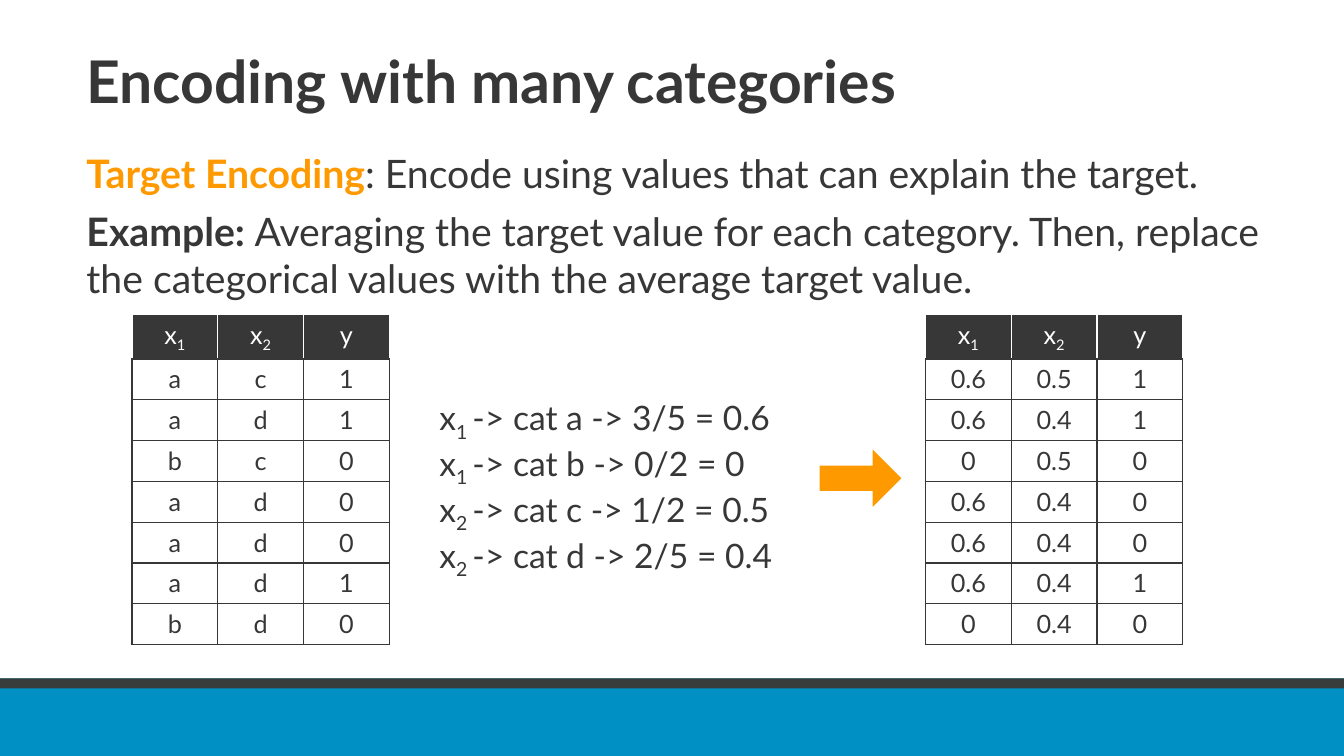
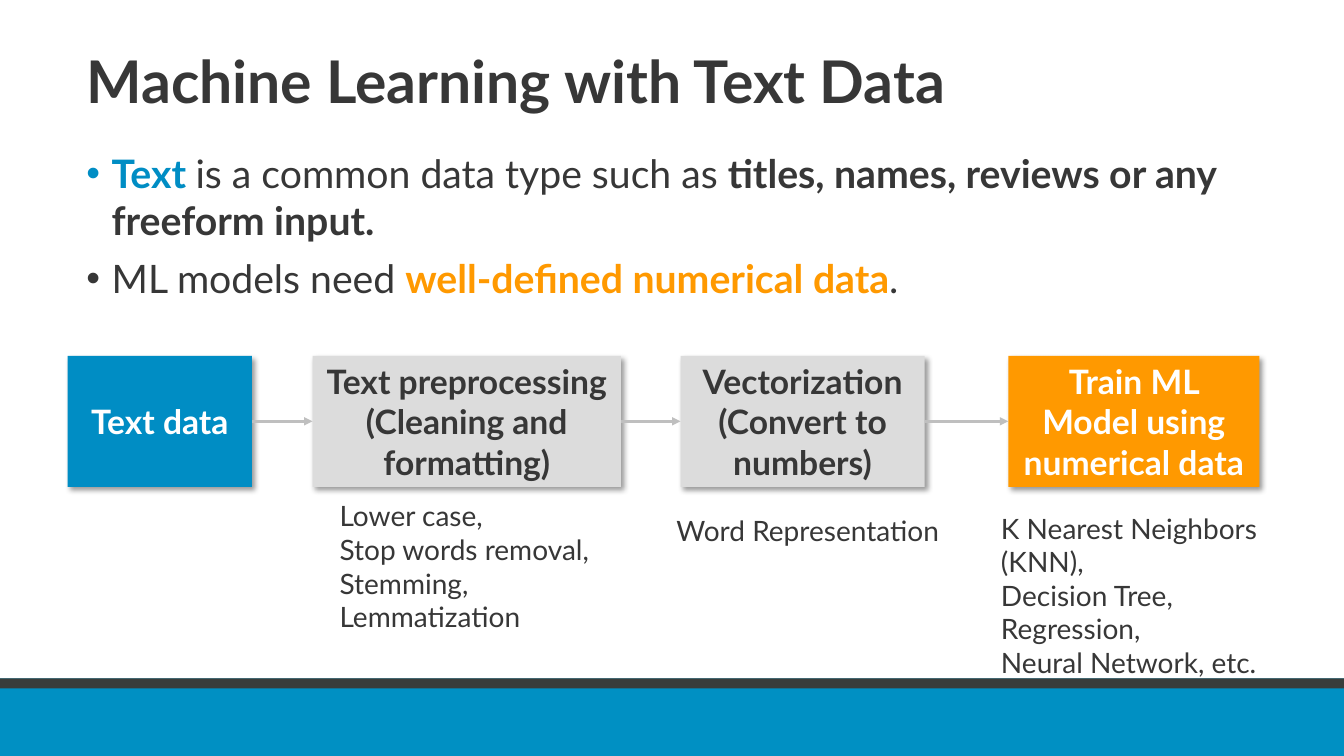
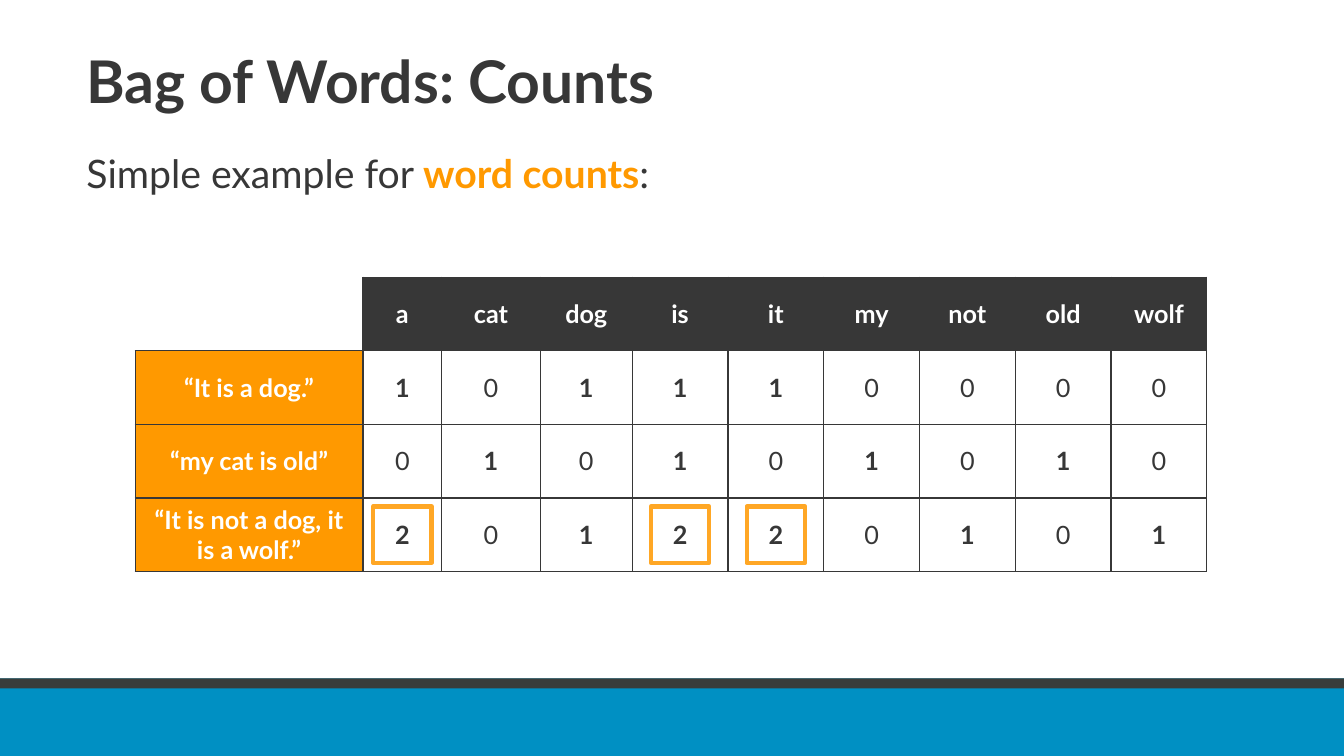
from dataclasses import dataclass
from itertools import pairwise

from lxml.etree import SubElement
from pptx import Presentation
from pptx.dml.color import RGBColor
from pptx.enum.shapes import MSO_CONNECTOR as Connector, MSO_SHAPE as Preset
from pptx.enum.text import MSO_ANCHOR as Anchor, PP_ALIGN as Align
from pptx.oxml import parse_xml
from pptx.oxml.ns import nsdecls, qn
from pptx.util import Inches, Pt


@dataclass(frozen=True)
class Theme:
    font: str = "Lato"
    ink: str = "373737"
    white: str = "FFFFFF"
    orange: str = "FF9900"
    highlight: str = "FFA725"
    blue: str = "008DC4"
    band: str = "0090C3"
    band_edge: str = "383D3B"
    box: str = "DCDCDC"
    arrow: str = "BFBFBF"
    title_size: int = 42
    body_size: int = 28
    label_size: int = 24
    note_size: int = 20
    table_size: int = 18


THEME = Theme()
WIDTH, HEIGHT = 13.33, 7.5
MARGIN, CONTENT_WIDTH = 0.76, 11.9

# A paragraph is a list of (text, style) runs.
STYLES = {
    "plain": {},
    "bold": {"bold": True},
    "orange": {"bold": True, "color": THEME.orange},
    "blue": {"bold": True, "color": THEME.blue},
    "sub": {"baseline": -25000},
}

# Slide 1
ENCODING_TITLE = "Encoding with many categories"
ENCODING_BODY = [
    [("Target Encoding", "orange"),
     (": Encode using values that can explain the target.", "plain")],
    [("Example: ", "bold"),
     ("Averaging the target value for each category. Then, replace "
      "the categorical values with the average target value.", "plain")],
]
ENCODING_HEADER = [
    [("x", "plain"), ("1", "sub")],
    [("x", "plain"), ("2", "sub")],
    [("y", "plain")],
]
SAMPLES = ["ac1", "ad1", "bc0", "ad0", "ad0", "ad1", "bd0"]
# feature, category, fraction, average
AVERAGES = [
    ("1", "a", "3/5", "0.6"),
    ("1", "b", "0/2", "0"),
    ("2", "c", "1/2", "0.5"),
    ("2", "d", "2/5", "0.4"),
]

# Slide 2
TEXT_TITLE = "Machine Learning with Text Data"
TEXT_BODY = [
    [("Text ", "blue"), ("is a common data type such as ", "plain"),
     ("titles, names, reviews or any freeform input.", "bold")],
    [("ML models need ", "plain"), ("well-defined numerical data", "orange"),
     (".", "plain")],
]
# left, width, fill, font colour, lines
STEPS = [
    (0.67, 1.83, THEME.blue, THEME.white, ["Text data"]),
    (3.1, 3.06, THEME.box, THEME.ink,
     ["Text preprocessing", "(Cleaning and formatting)"]),
    (6.75, 2.42, THEME.box, THEME.ink,
     ["Vectorization", "(Convert to numbers)"]),
    (10, 2.49, THEME.orange, THEME.white,
     ["Train ML Model using numerical data"]),
]
# left, top, lines
STEP_NOTES = [
    (3.27, 4.9, ["Lower case,", "Stop words removal,", "Stemming,",
                 "Lemmatization"]),
    (6.61, 5.04, ["Word Representation"]),
    (9.83, 5.02, ["K Nearest Neighbors (KNN),", "Decision Tree,",
                  "Regression,", "Neural Network, etc."]),
]

# Slide 3
COUNTS_TITLE = "Bag of Words: Counts"
COUNTS_BODY = [
    [("Simple example for ", "plain"), ("word counts", "orange"),
     (":", "plain")],
]
WORDS = ["a", "cat", "dog", "is", "it", "my", "not", "old", "wolf"]
SENTENCES = [
    ("“It is a dog.”", [1, 0, 1, 1, 1, 0, 0, 0, 0]),
    ("“my cat is old”", [0, 1, 0, 1, 0, 1, 0, 1, 0]),
    ("“It is not a dog, it is a wolf.”", [2, 0, 1, 2, 2, 0, 1, 0, 1]),
]


def rgb(value):
    return RGBColor.from_string(value)


def plain_lines(lines, style="plain"):
    return [[(line, style)] for line in lines]


def write(frame, paragraphs, size, color=THEME.ink, align=Align.LEFT,
          gap=0, bullets=False, spacing=None):
    """Fill a text frame with paragraphs of styled runs."""
    for index, runs in enumerate(paragraphs):
        paragraph = frame.paragraphs[0] if index == 0 else frame.add_paragraph()
        if bullets:
            add_bullet(paragraph)
        paragraph.alignment = align
        if spacing:
            paragraph.line_spacing = spacing
        if gap and index:
            paragraph.space_before = Pt(gap)
        for text, style_name in runs:
            style = STYLES[style_name]
            run = paragraph.add_run()
            run.text = text
            run.font.name = THEME.font
            run.font.size = Pt(size)
            run.font.bold = style.get("bold", False)
            run.font.color.rgb = rgb(style.get("color", color))
            if "baseline" in style:
                run._r.get_or_add_rPr().set("baseline", str(style["baseline"]))


def add_bullet(paragraph):
    properties = paragraph._p.get_or_add_pPr()
    properties.set("marL", str(Inches(0.25)))
    properties.set("indent", str(Inches(-0.25)))
    SubElement(properties, qn("a:buFont"), typeface="Arial")
    SubElement(properties, qn("a:buChar"), char="•")


def add_text(slide, left, top, width, height, paragraphs, size,
             anchor=Anchor.TOP, **options):
    box = slide.shapes.add_textbox(
        Inches(left), Inches(top), Inches(width), Inches(height))
    box.text_frame.word_wrap = True
    box.text_frame.vertical_anchor = anchor
    write(box.text_frame, paragraphs, size, **options)


def add_block(slide, left, top, width, height, fill=None, line=None,
              preset=Preset.RECTANGLE):
    shape = slide.shapes.add_shape(
        preset, Inches(left), Inches(top), Inches(width), Inches(height))
    shape.shadow.inherit = False
    if fill:
        shape.fill.solid()
        shape.fill.fore_color.rgb = rgb(fill)
    else:
        shape.fill.background()
    if line:
        shape.line.color.rgb = rgb(line)
        shape.line.width = Pt(3)
    else:
        shape.line.fill.background()
    return shape


def add_drop_shadow(shape):
    shape._element.spPr.find(qn("a:effectLst")).append(parse_xml(
        f'<a:outerShdw {nsdecls("a")} blurRad="{Pt(4)}" dist="{Pt(3)}" '
        'dir="2700000" algn="tl" rotWithShape="0"><a:srgbClr val="000000">'
        '<a:alpha val="40000"/></a:srgbClr></a:outerShdw>'))


def add_arrow(slide, source, target):
    arrow = slide.shapes.add_connector(Connector.STRAIGHT, 0, 0, 0, 0)
    arrow.begin_connect(source, 3)
    arrow.end_connect(target, 1)
    arrow.line.color.rgb = rgb(THEME.arrow)
    arrow.line.width = Pt(1.75)
    SubElement(arrow.line._get_or_add_ln(), qn("a:tailEnd"), type="triangle")
    SubElement(arrow._element.spPr, qn("a:effectLst"))


def set_borders(cell, colors):
    """Draw left, right, top and bottom borders; None leaves a side open."""
    properties = cell._tc.get_or_add_tcPr()
    for index, (side, color) in enumerate(zip("LRTB", colors)):
        paint = (f'<a:solidFill><a:srgbClr val="{color}"/></a:solidFill>'
                 if color else "<a:noFill/>")
        properties.insert(index, parse_xml(
            f'<a:ln{side} {nsdecls("a")} w="{Pt(1)}">{paint}</a:ln{side}>'))


def add_grid(slide, left, top, column_widths, row_height, row_count):
    table = slide.shapes.add_table(
        row_count, len(column_widths), Inches(left), Inches(top),
        Inches(sum(column_widths)), Inches(row_height * row_count)).table
    table.first_row = table.horz_banding = False
    for column, width in zip(table.columns, column_widths):
        column.width = Inches(width)
    for row in table.rows:
        row.height = Inches(row_height)
    return table


def fill_cell(cell, runs, fill=None, borders=(THEME.ink,) * 4,
              anchor=Anchor.TOP):
    if fill:
        cell.fill.solid()
        cell.fill.fore_color.rgb = rgb(fill)
    else:
        cell.fill.background()
    set_borders(cell, borders)
    cell.vertical_anchor = anchor
    write(cell.text_frame, [runs], THEME.table_size,
          color=THEME.white if fill else THEME.ink, align=Align.CENTER)


def start_slide(presentation, title, body, bullets=False):
    """Add a slide with the shared bands, title and body text."""
    slide = presentation.slides.add_slide(presentation.slide_layouts[6])
    band_top = 6.73
    add_block(slide, 0, band_top, WIDTH, HEIGHT - band_top, THEME.band)
    add_block(slide, 0, band_top, WIDTH, 0.1, THEME.band_edge)
    add_text(slide, MARGIN, 0.32, CONTENT_WIDTH, 1.08,
             plain_lines([title], "bold"), THEME.title_size,
             anchor=Anchor.MIDDLE, spacing=0.8)
    add_text(slide, MARGIN, 1.43, CONTENT_WIDTH, 1.6, body, THEME.body_size,
             gap=8, bullets=bullets)
    return slide


def add_sample_table(slide, left, samples):
    table = add_grid(slide, left, 3.12, [0.85] * 3, 0.405, len(samples) + 1)
    header_borders = (THEME.white,) * 3 + (THEME.ink,)
    for column, runs in enumerate(ENCODING_HEADER):
        fill_cell(table.cell(0, column), runs, THEME.ink, header_borders)
    for row, sample in enumerate(samples, 1):
        for column, value in enumerate(sample):
            fill_cell(table.cell(row, column), [(value, "plain")])


def build_encoding_slide(presentation):
    slide = start_slide(presentation, ENCODING_TITLE, ENCODING_BODY)
    average_of = {category: average for _, category, _, average in AVERAGES}
    encoded = [[average_of.get(value, value) for value in sample]
               for sample in SAMPLES]
    add_sample_table(slide, 1.31, SAMPLES)
    add_sample_table(slide, 9.18, encoded)
    formulas = [
        [("x", "plain"), (f"{feature} ", "sub"),
         (f"-> cat {category} -> {fraction} = {average}", "plain")]
        for feature, category, fraction, average in AVERAGES]
    add_text(slide, 4.26, 3.89, 3.63, 1.72, formulas, THEME.label_size)
    arrow = add_block(slide, 8.13, 4.46, 0.81, 0.57, THEME.orange,
                      preset=Preset.RIGHT_ARROW)
    arrow.adjustments[0] = 0.44


def build_text_slide(presentation):
    slide = start_slide(presentation, TEXT_TITLE, TEXT_BODY, bullets=True)
    boxes = []
    for left, width, fill, color, lines in STEPS:
        box = add_block(slide, left, 3.53, width, 1.3, fill)
        add_drop_shadow(box)
        box.text_frame.word_wrap = True
        box.text_frame.vertical_anchor = Anchor.MIDDLE
        write(box.text_frame, plain_lines(lines, "bold"), THEME.label_size,
              color=color, align=Align.CENTER)
        boxes.append(box)
    for source, target in pairwise(boxes):
        add_arrow(slide, source, target)
    for left, top, lines in STEP_NOTES:
        add_text(slide, left, top, 3, 1.45, plain_lines(lines),
                 THEME.note_size)


def build_counts_slide(presentation):
    slide = start_slide(presentation, COUNTS_TITLE, COUNTS_BODY)
    left, top, row_height = 1.34, 2.75, 0.73
    widths = [2.26, 0.78, 0.98, 0.91] + [0.95] * 6
    mark_width, mark_height = 0.58, 0.56
    table = add_grid(slide, left, top, widths, row_height, len(SENTENCES) + 1)
    fill_cell(table.cell(0, 0), [], borders=(None, THEME.ink, None, THEME.ink))
    for column, word in enumerate(WORDS, 1):
        fill_cell(table.cell(0, column), [(word, "bold")], THEME.ink,
                  anchor=Anchor.MIDDLE)
    for row, (sentence, counts) in enumerate(SENTENCES, 1):
        fill_cell(table.cell(row, 0), [(sentence, "bold")], THEME.orange,
                  anchor=Anchor.MIDDLE)
        for column, count in enumerate(counts, 1):
            fill_cell(table.cell(row, column),
                      [(str(count), "bold" if count else "plain")],
                      anchor=Anchor.MIDDLE)
            if count > 1:
                center_x = left + sum(widths[:column]) + widths[column] / 2
                center_y = top + (row + 0.5) * row_height
                add_block(slide, center_x - mark_width / 2,
                          center_y - mark_height / 2,
                          mark_width, mark_height, line=THEME.highlight)


def main():
    presentation = Presentation()
    presentation.slide_width = Inches(WIDTH)
    presentation.slide_height = Inches(HEIGHT)
    build_encoding_slide(presentation)
    build_text_slide(presentation)
    build_counts_slide(presentation)
    presentation.save("out.pptx")


if __name__ == "__main__":
    main()
